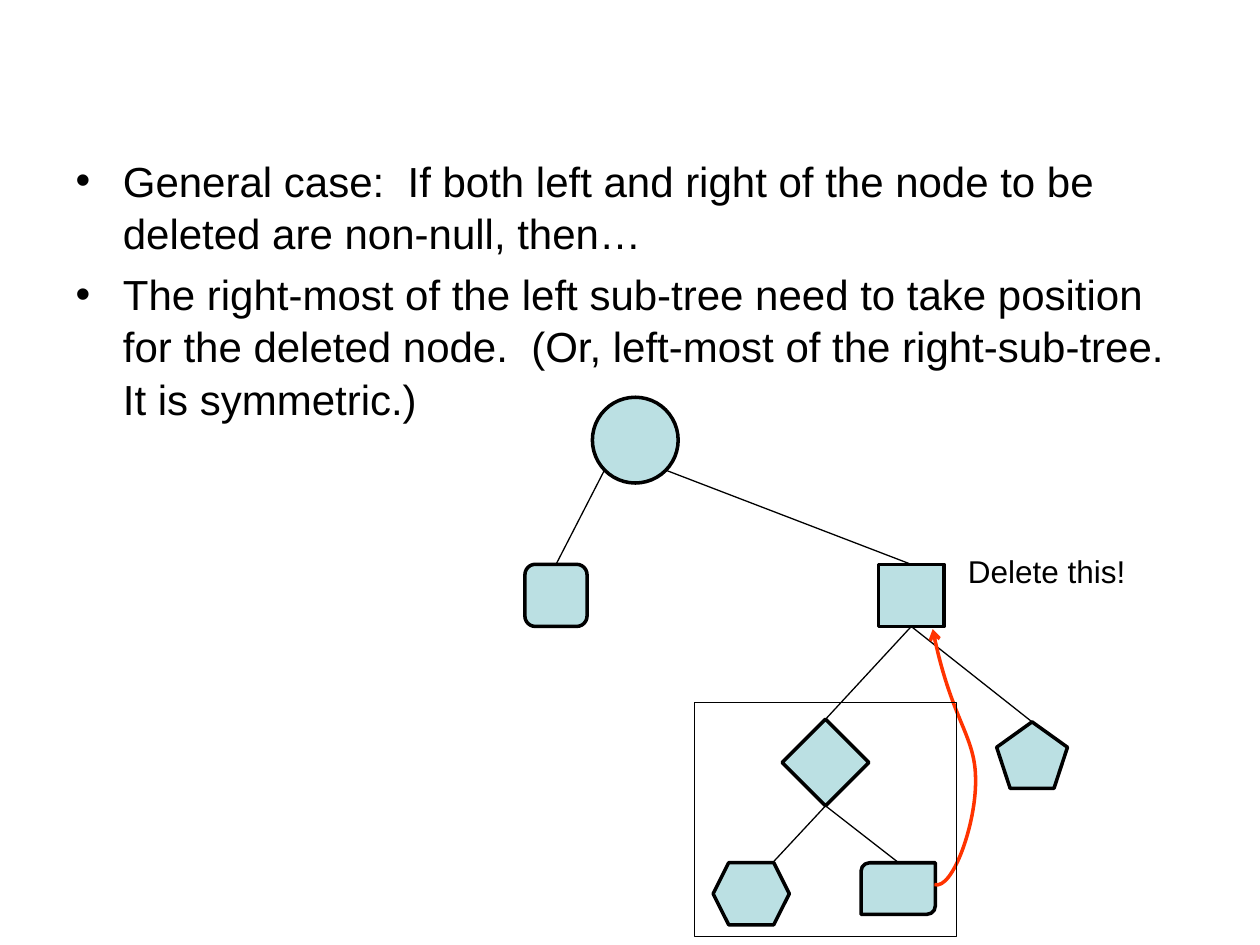
from lxml import etree
from pptx import Presentation
from pptx.dml.color import RGBColor
from pptx.enum.shapes import MSO_CONNECTOR, MSO_SHAPE
from pptx.enum.text import MSO_ANCHOR, MSO_AUTO_SIZE
from pptx.oxml.ns import qn
from pptx.util import Pt

STRAIGHT = MSO_CONNECTOR.STRAIGHT
TOP_ANCHOR = MSO_ANCHOR.TOP
NO_AUTOFIT = MSO_AUTO_SIZE.NONE
TOP, BOTTOM = 0, 2

BLACK = RGBColor(0x00, 0x00, 0x00)
NODE_BLUE = RGBColor(0xBB, 0xE0, 0xE3)
MOVE_RED = RGBColor(0xFF, 0x33, 0x00)
FONT = "Arial"

POINTS = [
    "General case:  If both left and right of the node to be deleted are "
    "non-null, then…",
    "The right-most of the left sub-tree need to take position for the "
    "deleted node.  (Or, left-most of the right-sub-tree.  It is symmetric.)",
]

# Tree nodes: preset shape, then left, top, width, height inside the tree box
NODES = {
    "root": (MSO_SHAPE.OVAL, 38.5, 0, 49, 49),
    "deleted": (MSO_SHAPE.RECTANGLE, 202, 95.5, 37.5, 35.5),
    "left leaf": (MSO_SHAPE.ROUNDED_RECTANGLE, 0, 95.5, 35.5, 35.5),
    "left child": (MSO_SHAPE.DIAMOND, 147, 184, 49.5, 49.5),
    "right child": (MSO_SHAPE.REGULAR_PENTAGON, 269.5, 185.5, 40.5, 38),
    "left-most": (MSO_SHAPE.HEXAGON, 107.5, 266, 43.5, 35.5),
    "right-most": (MSO_SHAPE.ROUND_2_DIAG_RECTANGLE, 192, 266, 42.5, 29.5),
}

# Edges: each end is a (node, side) to join or a free (x, y) point
EDGES = [
    ((45.5, 41.5), ("left leaf", TOP)),
    ((80, 41.5), ("deleted", TOP)),
    (("deleted", BOTTOM), ("left child", TOP)),
    (("deleted", BOTTOM), ("right child", TOP)),
    (("left child", BOTTOM), (141.5, 266)),
    (("left child", BOTTOM), (213.5, 266)),
]

# Start point, then three Bézier points for each curve segment
MOVE_CURVE = [(234, 278.5), (244.5, 282), (258, 243), (257.5, 218.5),
              (257.5, 194), (243.5, 185), (233, 132.5)]


def set_font(paragraph, size):
    for run in paragraph.runs:
        run.font.name = FONT
        run.font.size = Pt(size)
        run.font.color.rgb = BLACK


def set_line(shape, color, width):
    shape.line.color.rgb = color
    shape.line.width = Pt(width)


def add_points(slide, left, top, width, height):
    body = slide.placeholders[1]
    body.left, body.top = Pt(left), Pt(top)
    body.width, body.height = Pt(width), Pt(height)
    frame = body.text_frame
    frame.auto_size = NO_AUTOFIT
    frame.vertical_anchor = TOP_ANCHOR
    frame.text = "\n".join(POINTS)
    for index, paragraph in enumerate(frame.paragraphs):
        paragraph.space_before = Pt(4.8 if index else 0)
        paragraph.line_spacing = 1.04
        set_font(paragraph, 24)


def add_outlined(slide, preset, left, top, width, height, line_width):
    shape = slide.shapes.add_shape(
        preset, Pt(left), Pt(top), Pt(width), Pt(height))
    shape.shadow.inherit = False
    shape.fill.background()
    set_line(shape, BLACK, line_width)
    return shape


def add_edge(slide, left, top, nodes, start, end):
    edge = slide.shapes.add_connector(STRAIGHT, 0, 0, 0, 0)
    if start[0] in nodes:
        edge.begin_connect(nodes[start[0]], start[1])
    else:
        edge.begin_x, edge.begin_y = Pt(left + start[0]), Pt(top + start[1])
    if end[0] in nodes:
        edge.end_connect(nodes[end[0]], end[1])
    else:
        edge.end_x, edge.end_y = Pt(left + end[0]), Pt(top + end[1])
    set_line(edge, BLACK, 0.75)
    etree.SubElement(edge._element.spPr, qn("a:effectLst"))


def add_move_arrow(slide, left, top):
    start, *others = [(Pt(left + x), Pt(top + y)) for x, y in MOVE_CURVE]
    builder = slide.shapes.build_freeform(*start)
    builder.add_line_segments(others, close=False)
    arrow = builder.convert_to_shape()
    arrow.shadow.inherit = False
    arrow.fill.background()
    set_line(arrow, MOVE_RED, 2)

    # Turn every three line points into one cubic segment
    outline = next(arrow._element.iter(qn("a:path")))
    steps = outline.findall(qn("a:lnTo"))
    for first in range(0, len(steps), 3):
        curve = etree.SubElement(outline, qn("a:cubicBezTo"))
        for step in steps[first:first + 3]:
            curve.append(step[0])
            outline.remove(step)
    etree.SubElement(arrow.line._get_or_add_ln(), qn("a:tailEnd"), type="arrow")


def add_tree(slide, left, top):
    # Nodes
    nodes = {}
    for name, (preset, x, y, width, height) in NODES.items():
        node = add_outlined(slide, preset, left + x, top + y, width, height, 2)
        node.fill.solid()
        node.fill.fore_color.rgb = NODE_BLUE
        nodes[name] = node

    # Edges
    for start, end in EDGES:
        add_edge(slide, left, top, nodes, start, end)

    # Label beside the node to be deleted
    label = slide.shapes.add_textbox(
        Pt(left + 246), Pt(top + 85), Pt(162), Pt(29))
    label.text_frame.word_wrap = True
    label.text_frame.text = "Delete this!"
    set_font(label.text_frame.paragraphs[0], 18)

    # Replacement move and the frame around the left sub-tree
    add_move_arrow(slide, left, top)
    add_outlined(slide, MSO_SHAPE.RECTANGLE,
                 left + 96.5, top + 174, 150, 134, 0.25)


def main():
    deck = Presentation()
    deck.slide_width, deck.slide_height = Pt(720), Pt(540)
    slide = deck.slides.add_slide(deck.slide_layouts[1])
    title = slide.shapes.title._element
    title.getparent().remove(title)
    add_points(slide, 36, 84, 648, 398)
    add_tree(slide, 300, 227)
    deck.save("out.pptx")


if __name__ == "__main__":
    main()
